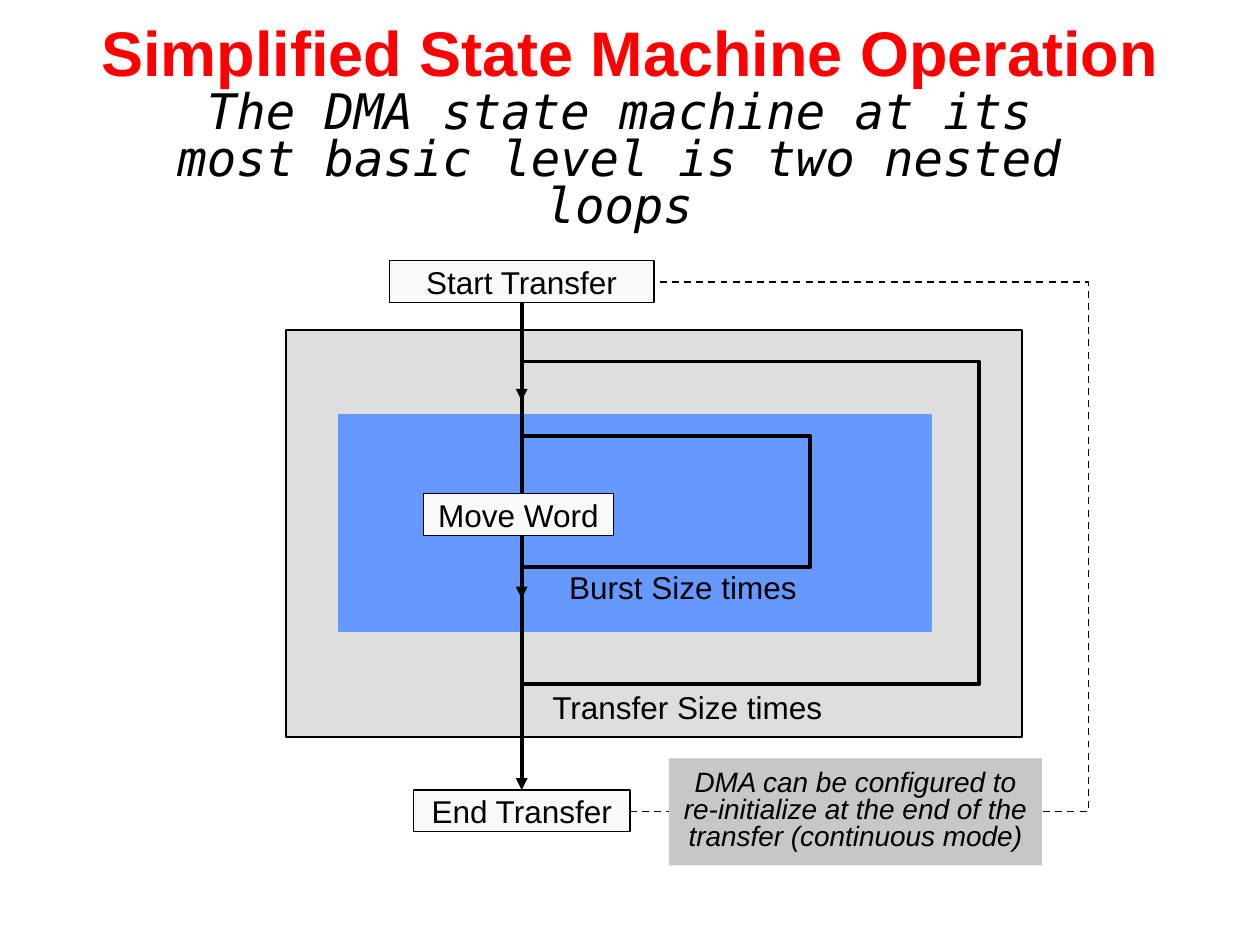
from lxml import etree
from pptx import Presentation
from pptx.dml.color import RGBColor
from pptx.enum.dml import MSO_LINE
from pptx.enum.shapes import MSO_CONNECTOR, MSO_SHAPE
from pptx.enum.text import MSO_ANCHOR, PP_ALIGN
from pptx.oxml.ns import qn
from pptx.util import Pt

CENTER = PP_ALIGN.CENTER
TOP, MIDDLE = MSO_ANCHOR.TOP, MSO_ANCHOR.MIDDLE
RECT, STRAIGHT, DASH = MSO_SHAPE.RECTANGLE, MSO_CONNECTOR.STRAIGHT, MSO_LINE.DASH
BLACK, RED, BLUE = "000000", "FF0000", "6699FF"
PANEL, STATE, NOTE = "DEDEDE", "F9F9F9", "C7C7C7"


def color(value):
    """Turn a hex string into a colour."""
    return RGBColor.from_string(value)


def put_text(sp, text, size=18, font="Arial", fill=BLACK, bold=False,
             italic=False, spacing=None, anchor=TOP, wrap=True):
    """Write one centred paragraph into a shape."""
    tf = sp.text_frame
    tf.word_wrap, tf.vertical_anchor = wrap, anchor
    p = tf.paragraphs[0]
    p.alignment, p.line_spacing, p.space_before = CENTER, spacing, Pt(0)
    r = p.add_run()
    r.text = text
    r.font.size, r.font.name = Pt(size), font
    r.font.bold, r.font.italic = bold, italic
    r.font.color.rgb = color(fill)


def set_line(line, width, stroke=BLACK, dash=None):
    """Format an outline or a connector line."""
    line.color.rgb = color(stroke)
    line.width = Pt(width)
    if dash:
        line.dash_style = dash


def add_rect(s, x, y, w, h, fill, width=0, stroke=BLACK):
    """Add a filled rectangle, outlined if a line width is given."""
    sp = s.shapes.add_shape(RECT, Pt(x), Pt(y), Pt(w), Pt(h))
    sp.shadow.inherit = False
    sp.fill.solid()
    sp.fill.fore_color.rgb = color(fill)
    if width:
        set_line(sp.line, width, stroke)
    else:
        sp.line.fill.background()
    return sp


def add_label(s, x, y, w, h, text, **fmt):
    """Add a text box."""
    put_text(s.shapes.add_textbox(Pt(x), Pt(y), Pt(w), Pt(h)), text, **fmt)


def add_state(s, x, y, w, text):
    """Add a state box of the flow."""
    sp = add_rect(s, x, y, w, 23.8, STATE, 0.75)
    put_text(sp, text, anchor=MIDDLE, wrap=False)


def add_loop(s, left, top, right, bottom, width=2.25, dash=None):
    """Draw a return path from bottom left round the right to top left."""
    fb = s.shapes.build_freeform(Pt(left), Pt(bottom))
    corners = [(right, bottom), (right, top), (left, top)]
    fb.add_line_segments([(Pt(x), Pt(y)) for x, y in corners], close=False)
    sp = fb.convert_to_shape()
    sp.shadow.inherit = False
    sp.fill.background()
    set_line(sp.line, width, dash=dash)


def add_arrow(s, x, top, bottom):
    """Add a downward arrow."""
    c = s.shapes.add_connector(STRAIGHT, Pt(x), Pt(top), Pt(x), Pt(bottom))
    set_line(c.line, 2.25)
    etree.SubElement(c.line._get_or_add_ln(), qn("a:tailEnd"), type="triangle")
    etree.SubElement(c._element.spPr, qn("a:effectLst"))


def add_heading(s, x, y, w):
    """Place the title and the statement below it."""
    sp = s.shapes.title
    sp.left, sp.top, sp.width, sp.height = Pt(x), Pt(y), Pt(w), Pt(58.3)
    put_text(sp, "Simplified State Machine Operation", size=36, fill=RED,
             bold=True, anchor=MIDDLE)
    add_label(s, x + 74.9, y + 49, 558, 61.2,
              "The DMA state machine at its most basic level is two nested loops",
              size=28, font="DejaVu Sans Mono", italic=True, spacing=0.8)


def add_state_machine(s, x, y, w, h):
    """Draw the nested loops, their states and the restart path."""
    axis = x + 134.6
    add_loop(s, x + 196.5, y + 12.3, x + w, y + 314.7, 1, DASH)
    add_rect(s, x, y + 39.6, 420.5, 232.6, PANEL, 1)
    add_rect(s, x + 30.2, y + 87.9, 338.4, 123.8, BLUE, 0.75, BLUE)
    add_label(s, x + 141.8, y + 172.1, 170, 28.8, "Burst Size times")
    add_label(s, x + 138.2, y + 240.5, 182.2, 28.8, "Transfer Size times")
    add_loop(s, axis, y + 100.1, x + 299.5, y + 175)
    add_loop(s, axis, y + 57.6, x + 395.9, y + 242)
    for top, bottom in [(157, 193), (20.9, 302.4), (72.8, 80)]:
        add_arrow(s, axis, y + top, y + bottom)
    add_state(s, x + 72.7, y + 302.4, 123.8, "End Transfer")
    add_state(s, x + 78.4, y + 133.2, 108.7, "Move Word")
    add_state(s, x + 59, y, 151.2, "Start Transfer")
    add_note(s, x + 218.8, y + h - 61.2, 213.1, 61.2)


def add_note(s, x, y, w, h):
    """Place the remark on the restart path."""
    sp = add_rect(s, x, y, w, h, NOTE)
    tf = sp.text_frame
    tf.margin_left = tf.margin_right = tf.margin_top = tf.margin_bottom = Pt(7.2)
    put_text(sp, "DMA can be configured to re-initialize at the end of the "
             "transfer (continuous mode)", size=16, italic=True, spacing=0.8)


def main():
    """Build and save the slide."""
    prs = Presentation()
    prs.slide_width, prs.slide_height = Pt(720), Pt(540)
    s = prs.slides.add_slide(prs.slide_layouts[5])
    add_heading(s, 0, 0, 720)
    add_state_machine(s, 163.5, 149, 458.6, 345.6)
    prs.save("out.pptx")


if __name__ == "__main__":
    main()
